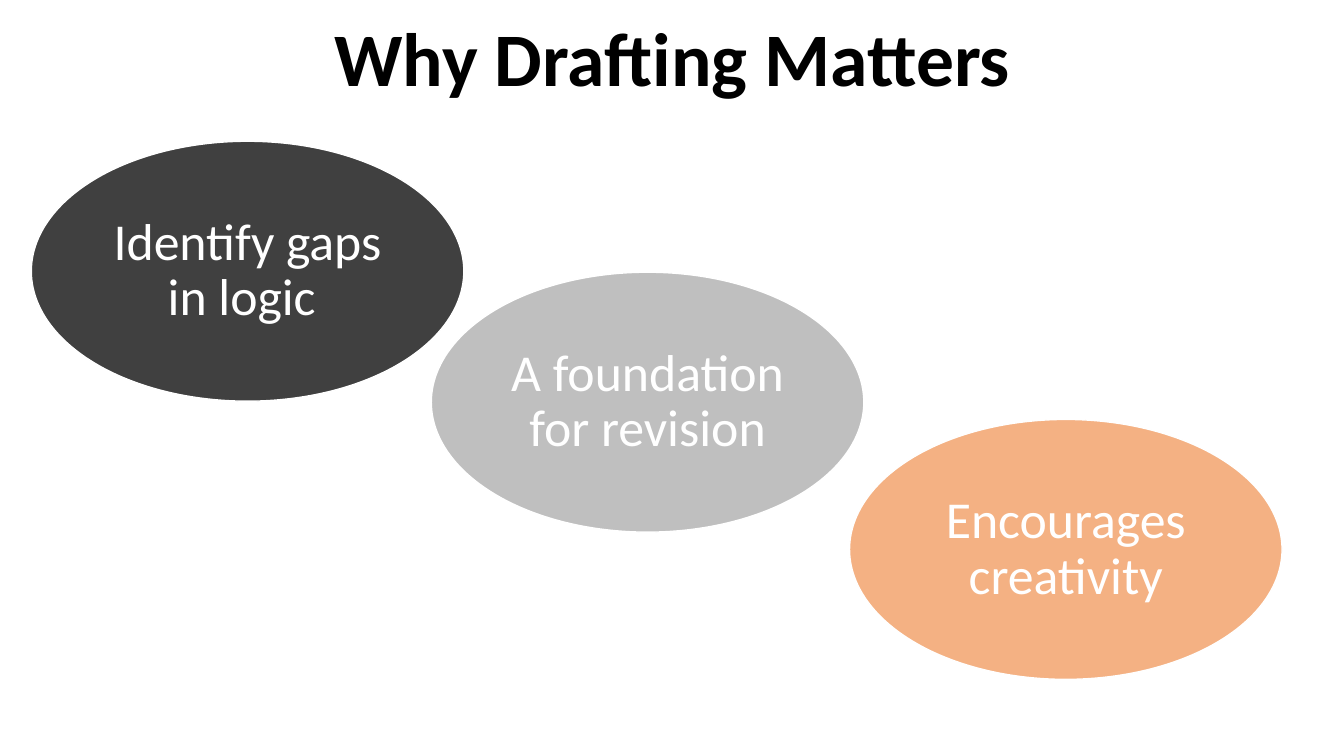
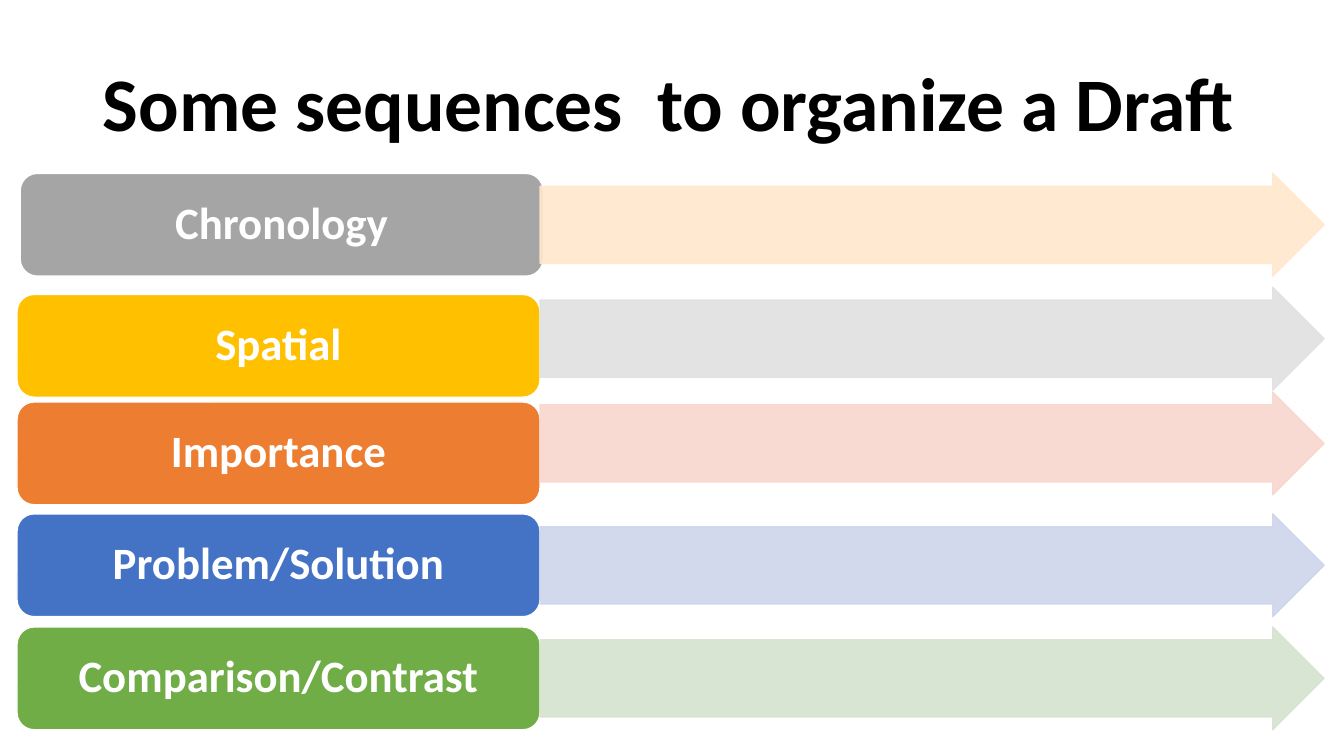
import pptx
import pptx.util
import pptx.dml.color
import pptx.enum.shapes
import pptx.enum.text
import pptx.oxml
from dataclasses import dataclass

Cm = pptx.util.Cm
SHAPE = pptx.enum.shapes.MSO_SHAPE
ALIGN = pptx.enum.text.PP_ALIGN


@dataclass(frozen=True)
class Theme:
    font: str = "Calibri"
    ink: str = "000000"
    paper: str = "FFFFFF"
    title: int = 54
    oval: int = 37
    label: int = 32
    lead: float = 0.9
    edge: int = 1
    alpha: int = 90


THEME = Theme()

WHY = {
    "title": "Why Drafting Matters",
    "box": (2.34, 0, 29.21, 3.12),
    "align": ALIGN.CENTER,
}
OVALS = [
    ("Identify gaps in logic ", "404040", 0.79, 3.56),
    ("Encourages creativity", "F4B183", 21.41, 10.57),
    ("A foundation for revision", "BFBFBF", 10.87, 6.86),
]
OVAL = (10.9, 6.55)

ORDER = {
    "title": "Some sequences  to organize a Draft",
    "box": (2.34, 1.02, 29.21, 3.35),
    "align": ALIGN.LEFT,
}
ROWS = [
    ("Chronology", "A5A5A5", "FFE8CC", 0.51, 4.37, 4.37),
    ("Spatial", "FFC000", "E1E1E1", 0.43, 7.42, 7.24),
    ("Importance", "ED7D31", "F8D7CE", 0.43, 10.13, 9.88),
    ("Problem/Solution", "4472C4", "CFD5EA", 0.43, 12.95, 12.95),
    ("Comparison/Contrast", "70AD47", "D5E3CF", 0.43, 15.8, 15.8),
]
LABEL = (13.18, 2.59)
ARROW = (19.76, 2.59)
ARROW_X = 13.61


def rgb(code):
    return pptx.dml.color.RGBColor.from_string(code)


def write(shape, text, size, color=THEME.paper, bold=False,
          align=ALIGN.CENTER, pad=(0.25, 0.13)):
    frame = shape.text_frame
    frame.word_wrap = True
    frame.auto_size = pptx.enum.text.MSO_AUTO_SIZE.NONE
    frame.vertical_anchor = pptx.enum.text.MSO_ANCHOR.MIDDLE
    frame.margin_left = frame.margin_right = Cm(pad[0])
    frame.margin_top = frame.margin_bottom = Cm(pad[1])
    para = frame.paragraphs[0]
    para.alignment = align
    para.line_spacing = THEME.lead
    run = para.add_run()
    run.text = text
    font = run.font
    font.name, font.size, font.bold = THEME.font, pptx.util.Pt(size), bold
    font.color.rgb = rgb(color)


def fade(fill):
    for node in fill.iter(pptx.oxml.ns.qn("a:srgbClr")):
        alpha = pptx.oxml.xmlchemy.OxmlElement("a:alpha")
        alpha.set("val", str(THEME.alpha * 1000))
        node.append(alpha)


def draw(slide, kind, spot, size, fill, line=THEME.paper):
    shape = slide.shapes.add_shape(kind, *map(Cm, spot + size))
    shape.shadow.inherit = False
    shape.fill.solid()
    shape.fill.fore_color.rgb = rgb(fill)
    shape.line.color.rgb = rgb(line)
    shape.line.width = pptx.util.Pt(THEME.edge)
    return shape


def start(deck, head):
    slide = deck.slides.add_slide(deck.slide_layouts[5])
    title = slide.shapes.title
    title.left, title.top, title.width, title.height = map(Cm, head["box"])
    write(title, head["title"], THEME.title, color=THEME.ink, bold=True,
          align=head["align"])
    return slide


def build_why(deck):
    slide = start(deck, WHY)
    for text, color, left, top in OVALS:
        oval = draw(slide, SHAPE.OVAL, (left, top), OVAL, color)
        write(oval, text, THEME.oval, pad=(0.38, 0.38))


def build_order(deck):
    slide = start(deck, ORDER)
    for text, color, tint, left, top, level in ROWS:
        label = draw(slide, SHAPE.ROUNDED_RECTANGLE, (left, top), LABEL, color)
        write(label, text, THEME.label, bold=True, pad=(0.33, 0.18))
        arrow = draw(slide, SHAPE.RIGHT_ARROW, (ARROW_X, level), ARROW,
                     tint, line=tint)
        arrow.adjustments[0], arrow.adjustments[1] = 0.75, 0.5
        fade(arrow.element.spPr)


def main():
    deck = pptx.Presentation()
    deck.slide_width, deck.slide_height = Cm(33.87), Cm(19.05)
    build_why(deck)
    build_order(deck)
    deck.save("out.pptx")


if __name__ == "__main__":
    main()
